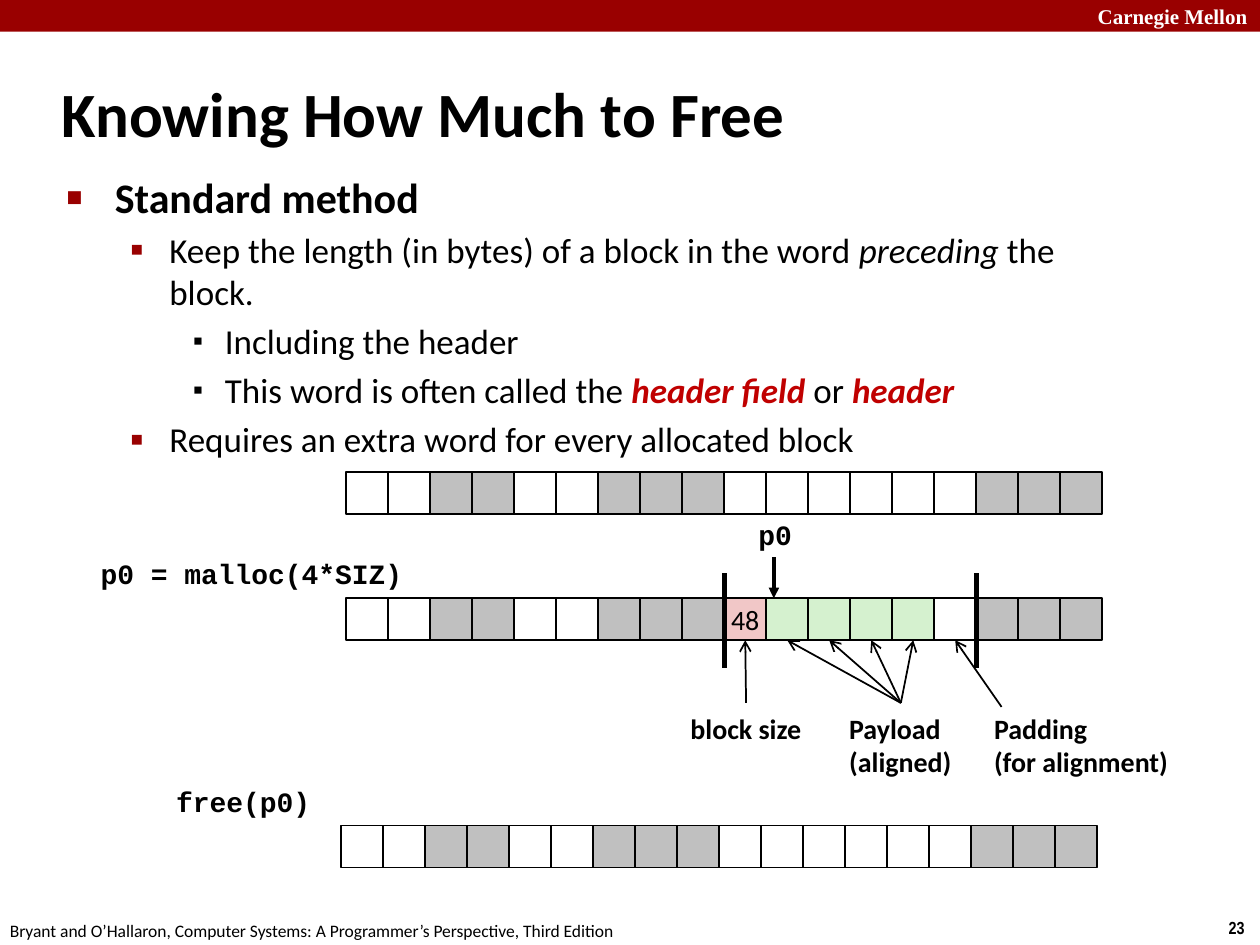
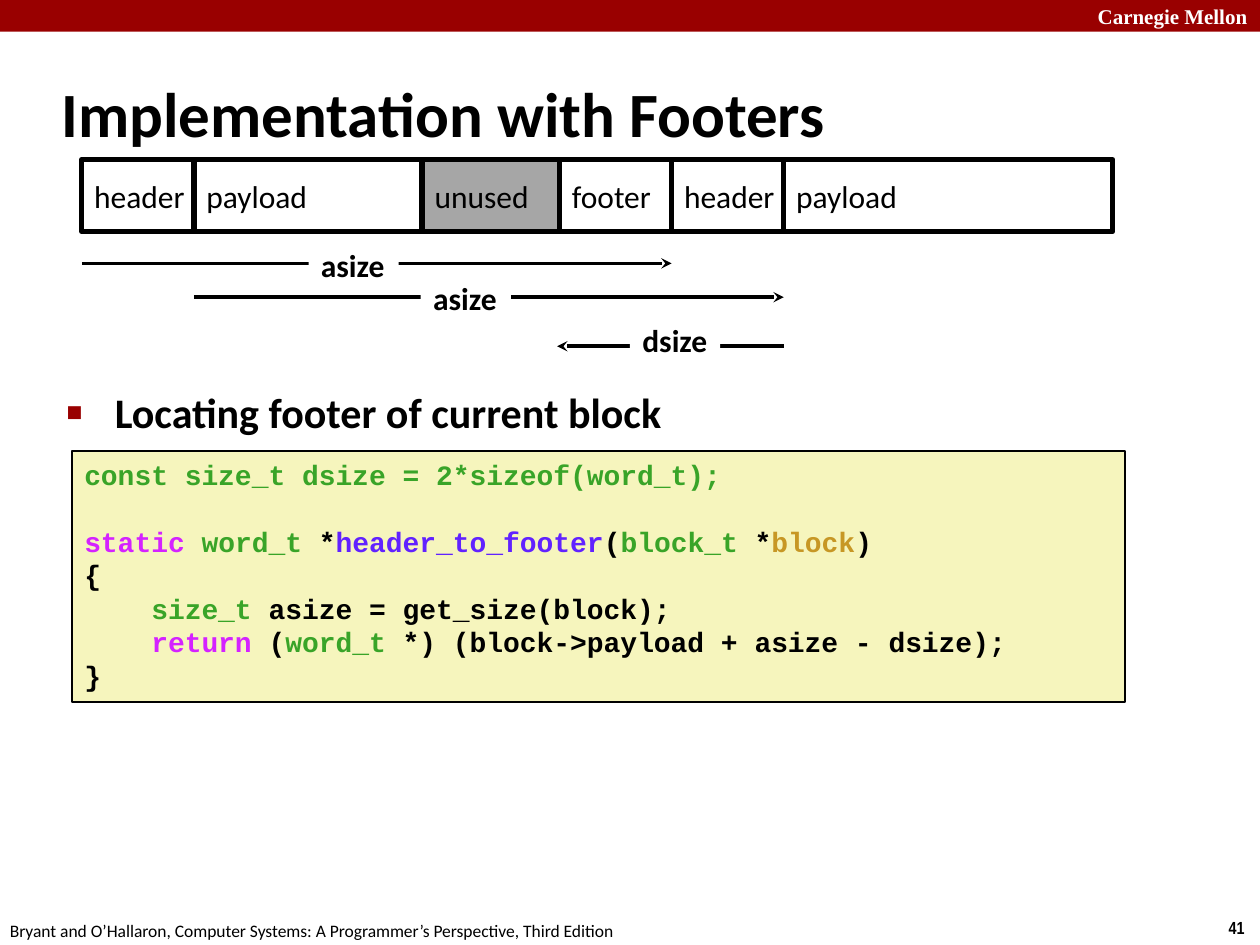
import pptx
import pptx.dml.color
import pptx.enum.shapes
import pptx.enum.text
import pptx.oxml
import pptx.oxml.ns
import pptx.util
from lxml import etree

Cm = pptx.util.Cm
Pt = pptx.util.Pt
ALIGN = pptx.enum.text.PP_ALIGN
ANCHOR = pptx.enum.text.MSO_ANCHOR
RECT = pptx.enum.shapes.MSO_SHAPE.RECTANGLE

COLORS = {
    "black": "000000", "white": "FFFFFF", "band": "990000", "emphasis": "C00000",
    "used": "C0C0C0", "payload": "D5F1CF", "size": "F1C7C7", "unused": "A6A6A6",
    "code": "F6F5BD", "type": "39A428", "keyword": "D422FF",
    "function": "6122FF", "variable": "C79725",
}
SANS, MONO, SERIF, NARROW = "Calibri", "Courier New", "Times New Roman", "Arial Narrow"
SCHOOL = "Carnegie Mellon"
BOOK = "Bryant and O’Hallaron, Computer Systems: A Programmer’s Perspective, Third Edition"

CELL = 2.54 / 3
FILLS = {".": "white", "#": "used", "s": "size", "p": "payload"}
HEAP_BEFORE = "..##..###......###"
HEAP_ALLOCATED = "..##..###spppp.###"
SIZE_CELL, PAYLOAD_CELLS, PADDING_CELL, NEXT_CELL = 9, range(10, 14), 14, 15

# level: left margin (cm), hanging indent (cm), bullet, bullet size %, bullet colour, text size
LEVELS = [
    (0.97, 0.97, "■", 40, "band", 24),
    (2.07, 0.79, "▪", 110, "band", 20),
    (3.19, 0.64, "▪", 80, "black", 20),
]


def rgb(name):
    return pptx.dml.color.RGBColor.from_string(COLORS[name])


def lengths(*values):
    return [Cm(v) for v in values]


def sub(parent, tag, **attrs):
    return etree.SubElement(parent, pptx.oxml.ns.qn(tag), attrs)


def add_run(p, text, size, font=SANS, color="black", bold=False, italic=False):
    r = p.add_run()
    r.text = text
    r.font.name = font
    r.font.size = Pt(size)
    r.font.bold = bold
    r.font.italic = italic
    r.font.color.rgb = rgb(color)


def paragraphs(tf, count):
    """Yield the first paragraph of a frame, then new ones."""
    for i in range(count):
        yield tf.add_paragraph() if i else tf.paragraphs[0]


def add_text(s, box, lines, size, spacing=1.0, align=ALIGN.LEFT, anchor=ANCHOR.TOP,
             fill=None, **style):
    sp = s.shapes.add_textbox(*lengths(*box))
    if fill:
        sp.fill.solid()
        sp.fill.fore_color.rgb = rgb(fill)
    tf = sp.text_frame
    tf.word_wrap = False
    tf.vertical_anchor = anchor
    for p, line in zip(paragraphs(tf, len(lines)), lines):
        p.alignment = align
        p.line_spacing = spacing
        add_run(p, line, size, **style)


def add_rect(s, box, fill=None, line=None):
    sp = s.shapes.add_shape(RECT, *lengths(*box))
    sp.shadow.inherit = False
    if fill:
        sp.fill.solid()
        sp.fill.fore_color.rgb = rgb(fill)
    else:
        sp.fill.background()
    if line:
        sp.line.color.rgb = rgb("black")
        sp.line.width = Pt(line)
    else:
        sp.line.fill.background()
    return sp


def label_rect(sp, text, size, align):
    tf = sp.text_frame
    tf.word_wrap = False
    tf.vertical_anchor = ANCHOR.MIDDLE
    tf.paragraphs[0].alignment = align
    add_run(tf.paragraphs[0], text, size)


def add_line(s, start, end, width, arrow=None):
    """Draw a straight line; arrow is the head type at its end."""
    c = s.shapes.add_connector(pptx.enum.shapes.MSO_CONNECTOR.STRAIGHT,
                               *lengths(*start, *end))
    c.line.color.rgb = rgb("black")
    c.line.width = Pt(width)
    if arrow:
        sub(c.line._get_or_add_ln(), "a:tailEnd", type=arrow)
    sub(c._element.spPr, "a:effectLst")


def add_slide(prs, title, number):
    s = prs.slides.add_slide(prs.slide_layouts[1])
    add_rect(s, (0, 0, 25.4, 0.64), "band")
    add_text(s, (19.4, 0, 6, 0.64), [SCHOOL], 12, align=ALIGN.RIGHT,
             anchor=ANCHOR.MIDDLE, font=SERIF, color="white", bold=True)
    add_text(s, (24.48, 18.36, 0.86, 0.69), [number], 10, align=ALIGN.RIGHT,
             font=NARROW, bold=True)
    add_text(s, (-0.05, 18.42, 12.9, 0.63), [BOOK], 10)
    sp = s.shapes.title
    sp.left, sp.top, sp.width, sp.height = lengths(0.99, 1.2, 21.08, 2.11)
    tf = sp.text_frame
    tf.auto_size = pptx.enum.text.MSO_AUTO_SIZE.NONE
    tf.vertical_anchor = ANCHOR.MIDDLE
    tf.paragraphs[0].alignment = ALIGN.LEFT
    add_run(tf.paragraphs[0], title, 36, bold=True)
    return s


def fill_body(s, top, height, items):
    """Write items of (level, [(text, style), ...]) as a bulleted list."""
    sp = s.placeholders[1]
    sp.left, sp.top, sp.width, sp.height = lengths(1.09, top, 21.95, height)
    tf = sp.text_frame
    tf.auto_size = pptx.enum.text.MSO_AUTO_SIZE.NONE
    for i, (p, (level, runs)) in enumerate(zip(paragraphs(tf, len(items)), items)):
        margin, hang, bullet, percent, color, size = LEVELS[level]
        p.level = level
        pPr = p._p.get_or_add_pPr()
        pPr.set("marL", str(Cm(margin)))
        pPr.set("indent", str(-Cm(hang)))
        sub(sub(pPr, "a:buClr"), "a:srgbClr", val=COLORS[color])
        sub(pPr, "a:buSzPct", val=str(percent * 1000))
        sub(pPr, "a:buFont", typeface=SANS)
        sub(pPr, "a:buChar", char=bullet)
        p.space_before = Pt(4 if i else 0)
        for text, style in runs:
            add_run(p, text, size, **style)


def add_heap(s, left, top, cells):
    for i, kind in enumerate(cells):
        sp = add_rect(s, (left + i * CELL, top, CELL, CELL), FILLS[kind], 1)
        if kind == "s":
            label_rect(sp, "48", 16, ALIGN.CENTER)


def add_code(s, box, lines, pitch=19.1):
    """Write lines of (lines skipped above, [(text, colour), ...])."""
    sp = add_rect(s, box, "code", 1)
    tf = sp.text_frame
    tf.word_wrap = True
    tf.vertical_anchor = ANCHOR.TOP
    for p, (skipped, runs) in zip(paragraphs(tf, len(lines)), lines):
        p.alignment = ALIGN.LEFT
        p.line_spacing = Pt(pitch)
        p.space_before = Pt(skipped * pitch)
        for text, color in runs:
            add_run(p, text, 16, MONO, color, bold=True)


def add_span(s, start, end, y, label, label_x, label_y):
    """Draw an arrow whose middle is covered by its label."""
    add_line(s, (start, y), (end, y), 2, "stealth")
    add_text(s, (label_x, label_y, 1.82, 1.02), [label], 18, fill="white", bold=True)


def build_free_slide(prs):
    s = add_slide(prs, "Knowing How Much to Free", "23")
    marked = {"color": "emphasis", "bold": True, "italic": True}
    fill_body(s, 3.33, 14.27, [
        (0, [("Standard method", {"bold": True})]),
        (1, [("Keep the length (in bytes) of a block in the word ", {}),
             ("preceding", {"italic": True}), (" the block.", {})]),
        (2, [("Including the header", {})]),
        (2, [("This word is often called the ", {}), ("header field ", marked),
             ("or ", {}), ("header", marked)]),
        (1, [("Requires an extra word for every allocated block", {})]),
    ])

    left, top = 6.98, 12.06
    add_heap(s, left, 9.52, HEAP_BEFORE)
    add_heap(s, left, top, HEAP_ALLOCATED)
    add_heap(s, 6.88, 16.64, HEAP_BEFORE)

    for text, box in [("p0 = malloc(4*SIZ)", (1.78, 11.15, 6.68, 0.91)),
                      ("p0", (15.04, 10.36, 1.19, 0.89)),
                      ("free(p0)", (3.3, 15.75, 3.25, 0.91))]:
        add_text(s, box, [text], 16, 0.94, font=MONO, bold=True)
    for lines, box in [(["block size"], (13.67, 14.25, 2.77, 0.94)),
                       (["Payload", "(aligned)"], (16.87, 14.25, 2.59, 1.6)),
                       (["Padding", "(for alignment)"], (19.79, 14.25, 4.06, 1.6))]:
        add_text(s, box, lines, 16, 0.98, bold=True)

    for cell in (SIZE_CELL, NEXT_CELL):
        x = left + cell * CELL
        add_line(s, (x, 11.56), (x, 13.46), 3)
    add_line(s, (15.6, 11.23), (15.6, top), 2, "triangle")
    sources = {SIZE_CELL: (15.04, 14.17), PADDING_CELL: (20.19, 14.25)}
    sources.update({cell: (18.16, 14.17) for cell in PAYLOAD_CELLS})
    for cell, source in sources.items():
        add_line(s, source, (left + (cell + 0.5) * CELL, top + CELL), 1, "arrow")


def build_footer_slide(prs):
    s = add_slide(prs, "Implementation with Footers", "41")
    fill_body(s, 7.67, 1.3, [(0, [("Locating footer of current block", {"bold": True})])])

    x = 1.65
    for text, width, fill in [("header", 2.26, None), ("payload", 4.6, None),
                              ("unused", 2.77, "unused"), ("footer", 2.26, None),
                              ("header", 2.26, None), ("payload", 6.63, None)]:
        label_rect(add_rect(s, (x, 3.22, width, 1.45), fill, 3), text, 18, ALIGN.LEFT)
        x += width

    add_span(s, 3.91, 15.8, 5.99, "asize", 8.48, 5.51)
    add_span(s, 15.8, 11.23, 6.98, "dsize", 12.7, 6.35)
    add_span(s, 1.65, 13.54, 5.31, "asize", 6.22, 4.83)

    add_code(s, (1.45, 9.1, 21.23, 5.05), [
        (0, [("const size_t dsize = 2*sizeof(word_t);", "type")]),
        (1, [("static ", "keyword"), ("word_t", "type"), (" *", "black"),
             ("header_to_footer", "function"), ("(", "black"), ("block_t", "type"),
             (" *", "black"), ("block", "variable"), (")", "black")]),
        (0, [("{", "black")]),
        (0, [("    size_t ", "type"), ("asize = get_size(block);", "black")]),
        (0, [("    return", "keyword"), (" (", "black"), ("word_t", "type"),
             (" *) (block->payload + asize - dsize);", "black")]),
        (0, [("}", "black")]),
    ])


def main():
    prs = pptx.Presentation()
    prs.slide_width, prs.slide_height = lengths(25.4, 19.05)
    build_free_slide(prs)
    build_footer_slide(prs)
    prs.save("out.pptx")


if __name__ == "__main__":
    main()
